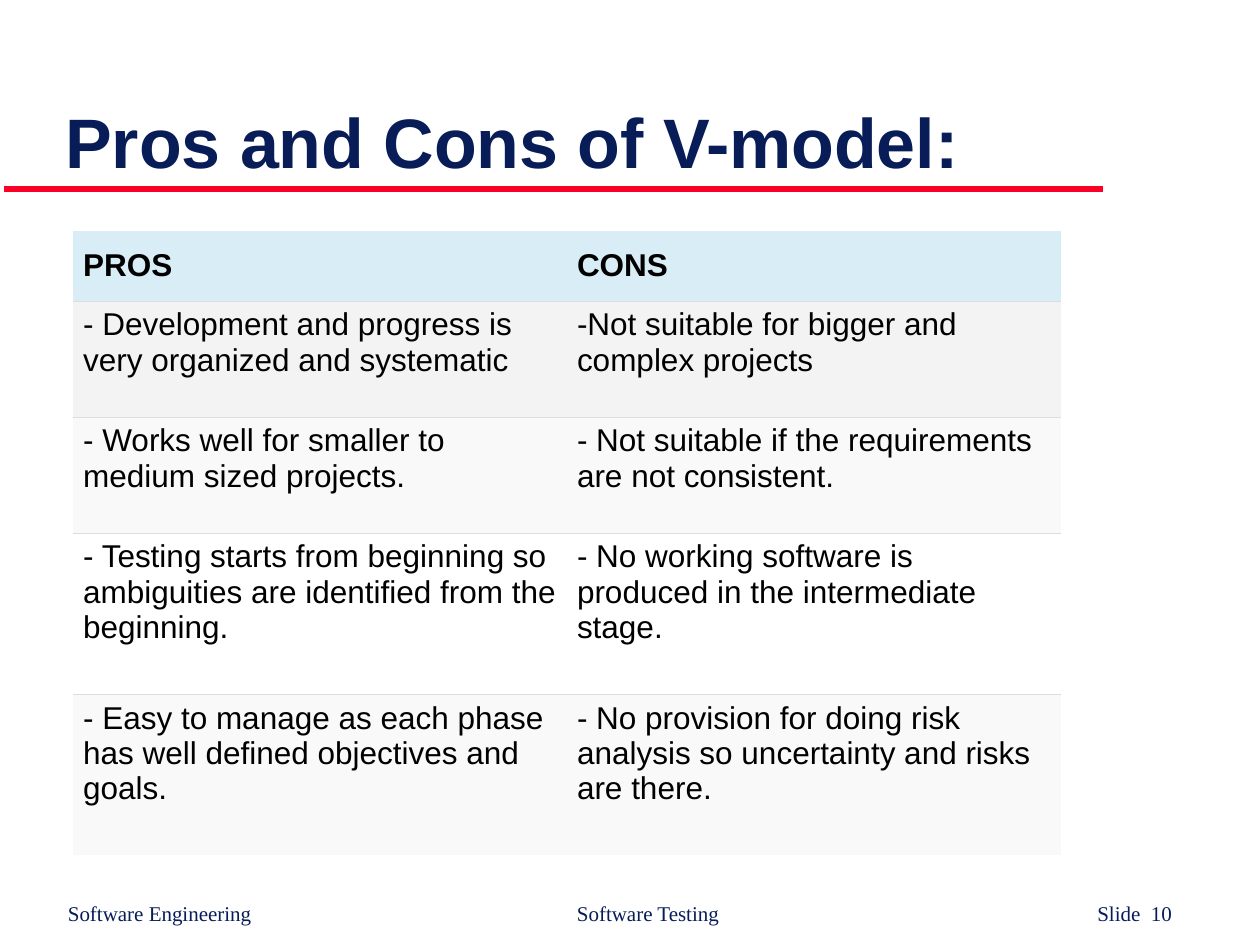
"""Build the slide with the pros and cons of the V-model."""
from lxml.etree import SubElement
from pptx import Presentation
from pptx.dml.color import RGBColor
from pptx.enum.shapes import MSO_CONNECTOR
from pptx.enum.text import MSO_ANCHOR
from pptx.oxml import parse_xml
from pptx.oxml.ns import nsdecls, qn
from pptx.util import Inches, Pt

COLORS = {
    "navy": "081D58",
    "red": "FC0128",
    "black": "000000",
    "border": "DDDDDD",
    "header": "D9EDF7",
    "gray": "F3F3F3",
    "light": "F9F9F9",
    "white": "FFFFFF",
}
NO_STYLE = "{2D5ABB26-0587-4C30-8999-92F81FD0307C}"
ROWS = [
    (0.56, "header", "PROS", "CONS"),
    (0.92, "gray", "- Development and progress is very organized and systematic",
     "-Not suitable for bigger and complex projects"),
    (0.92, "light", "- Works well for smaller to medium sized projects.",
     "- Not suitable if the requirements are not consistent."),
    (1.28, "white", "- Testing starts from beginning so ambiguities are identified from the beginning.",
     "- No working software is produced in the intermediate stage."),
    (1.28, "light", "- Easy to manage as each phase has well defined objectives and goals.",
     "- No provision for doing risk analysis so uncertainty and risks are there."),
]


def rgb(name):
    return RGBColor.from_string(COLORS[name])


def set_font(p, name, size, color, bold=False):
    p.font.name = name
    p.font.size = Pt(size)
    p.font.bold = bold
    p.font.color.rgb = rgb(color)


def add_rule(s, x1, x2, y):
    line = s.shapes.add_connector(
        MSO_CONNECTOR.STRAIGHT, Inches(x1), Inches(y), Inches(x2), Inches(y))
    line.line.color.rgb = rgb("red")
    line.line.width = Pt(4)
    SubElement(line._element.spPr, qn("a:effectLst"))


def add_text(s, box, text, font, size, bold=False, anchor=MSO_ANCHOR.TOP):
    tf = s.shapes.add_textbox(*map(Inches, box)).text_frame
    tf.word_wrap = True
    tf.vertical_anchor = anchor
    p = tf.paragraphs[0]
    p.add_run().text = text
    set_font(p, font, size, "navy", bold)
    return p


def set_tabs(p, stops):
    tabs = "".join(f'<a:tab pos="{Inches(x)}" algn="l"/>' for x in stops)
    p._p.get_or_add_pPr().insert(
        0, parse_xml(f'<a:tabLst {nsdecls("a")}>{tabs}</a:tabLst>'))


def set_borders(cell, sides):
    tcPr = cell._tc.get_or_add_tcPr()
    for i, side in enumerate(sides):
        tcPr.insert(i, parse_xml(
            f'<a:ln{side} {nsdecls("a")} w="{Pt(0.34)}"><a:solidFill>'
            f'<a:srgbClr val="{COLORS["border"]}"/></a:solidFill></a:ln{side}>'))


def fill_cell(cell, text, fill, header):
    cell.margin_left = cell.margin_right = Inches(0.08)
    cell.margin_top = cell.margin_bottom = Inches(0.05)
    cell.vertical_anchor = MSO_ANCHOR.MIDDLE if header else MSO_ANCHOR.TOP
    cell.fill.solid()
    cell.fill.fore_color.rgb = rgb(fill)
    p = cell.text_frame.paragraphs[0]
    p.add_run().text = text
    set_font(p, "Arial", 18, "black", header)


def add_comparison(s):
    height = sum(row[0] for row in ROWS)
    table = s.shapes.add_table(
        len(ROWS), 2, Inches(0.58), Inches(1.83), Inches(7.84), Inches(height)).table
    table.first_row = table.horz_banding = False
    table._tbl.tblPr.find(qn("a:tableStyleId")).text = NO_STYLE
    last = len(ROWS) - 1
    for r, (row_height, fill, *texts) in enumerate(ROWS):
        table.rows[r].height = Inches(row_height)
        sides = ("T" if r > 0 else "") + ("B" if r < last else "")
        for c, text in enumerate(texts):
            fill_cell(table.cell(r, c), text, fill, r == 0)
            set_borders(table.cell(r, c), sides)


def main():
    prs = Presentation()
    prs.slide_width, prs.slide_height = Inches(10), Inches(7.5)
    s = prs.slides.add_slide(prs.slide_layouts[6])
    add_rule(s, 0.03, 8.75, 1.5)
    footer = add_text(s, (0.44, 7.1, 9.01, 0.3),
                      "Software Engineering\tSoftware Testing\tSlide  10",
                      "Times New Roman", 12)
    set_tabs(footer, (4.04, 8.17))
    add_text(s, (0.42, 0.42, 9, 1.08), "Pros and Cons of V-model:",
             "Arial", 40, True, MSO_ANCHOR.BOTTOM)
    add_comparison(s)
    prs.save("out.pptx")


if __name__ == "__main__":
    main()
